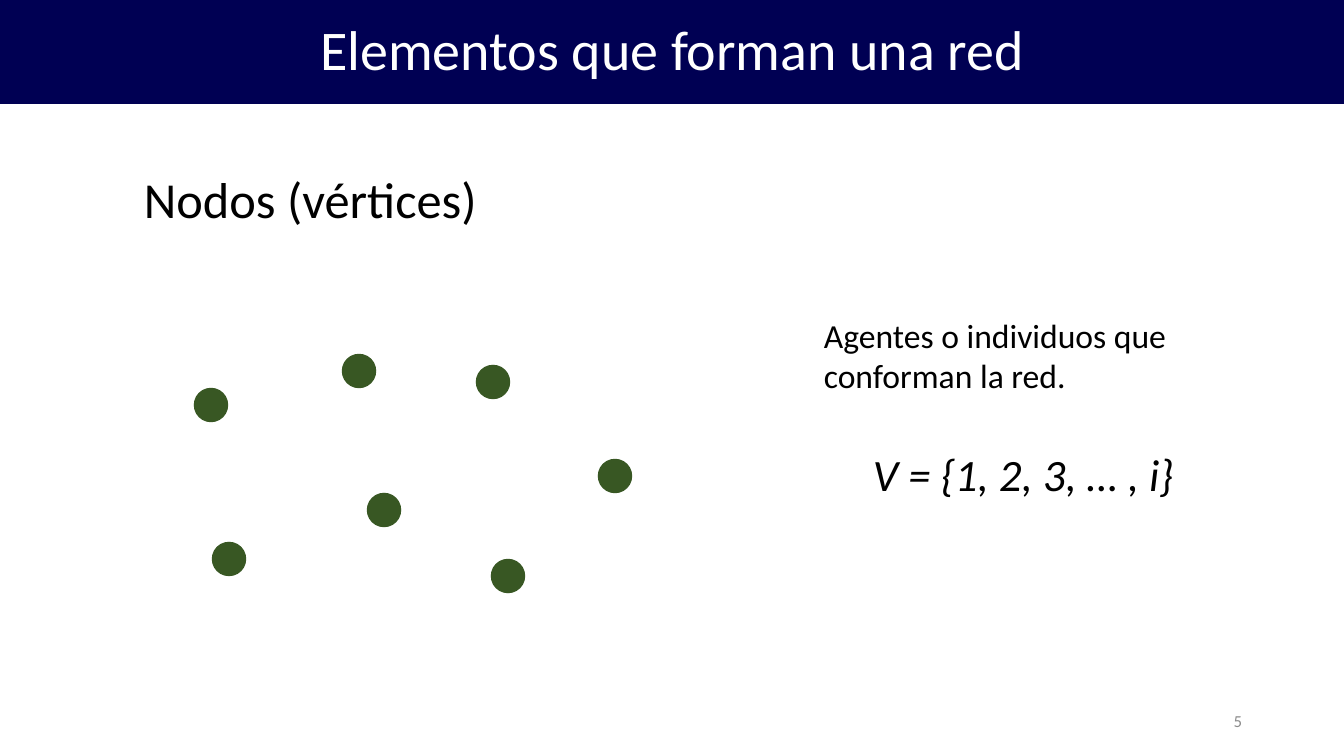
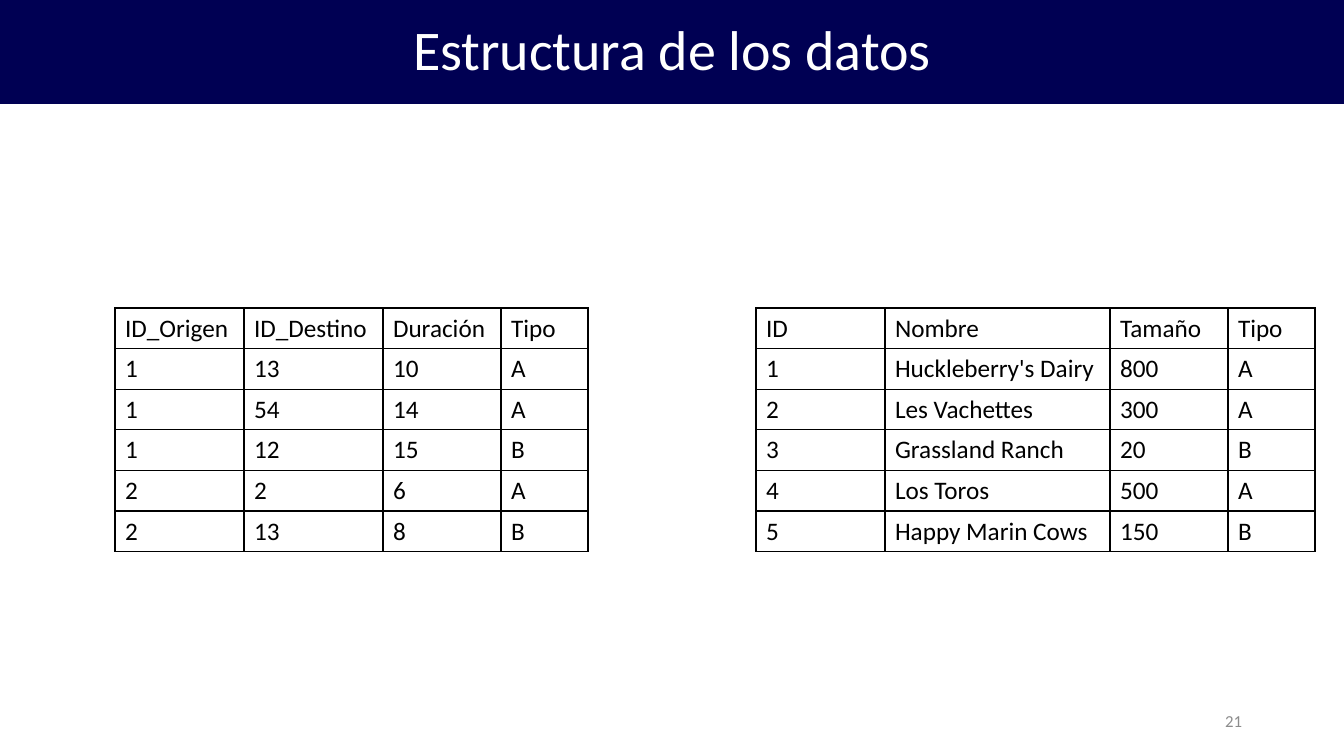
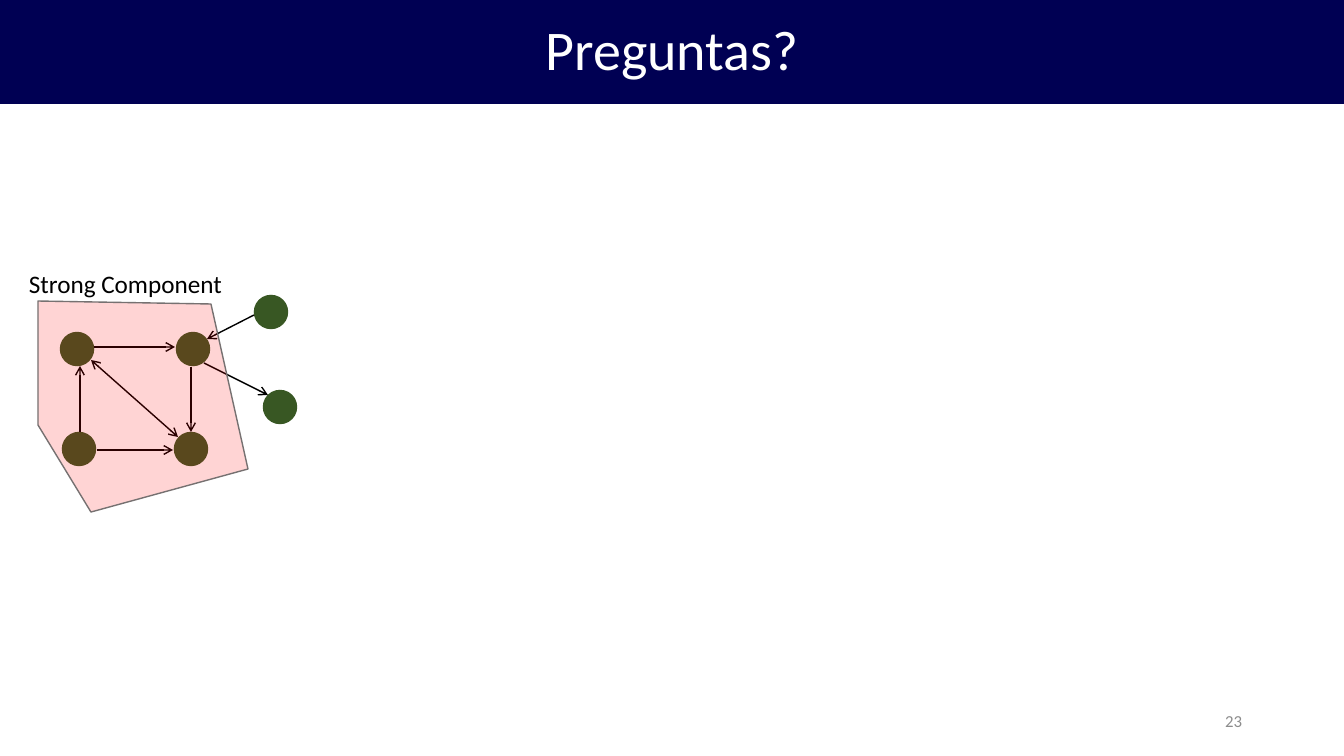
from lxml import etree
from pptx import Presentation
from pptx import util as u
from pptx.dml.color import RGBColor
from pptx.enum import shapes, text
from pptx.oxml.ns import qn

EMU_PER_PX = 914400 / 100.8
WIDTH, HEIGHT = 1344, 756
FONT = "Calibri"
COLORS = {
    "band": "000053",
    "title": "FFFFFF",
    "ink": "000000",
    "number": "8C8C8C",
    "node": "385723",
    "group": "FF0000",
    "group_edge": "767171",
}
ALIGN = text.PP_ALIGN
ANCHOR = text.MSO_ANCHOR


def px(length):
    return u.Emu(round(length * EMU_PER_PX))


def rgb(name):
    return RGBColor.from_string(COLORS[name])


def write(frame, content, size=18, color="ink", italic=False, align=ALIGN.LEFT,
          anchor=ANCHOR.TOP, wrap=True, spacing=None):
    frame.word_wrap = wrap
    frame.vertical_anchor = anchor
    paragraph = frame.paragraphs[0]
    paragraph.alignment = align
    if spacing:
        paragraph.line_spacing = spacing
    run = paragraph.add_run()
    run.text = content
    run.font.name = FONT
    run.font.size = u.Pt(size)
    run.font.italic = italic
    run.font.color.rgb = rgb(color)


class Deck:
    node_size = 34.5
    row_height = 40.6

    def __init__(self):
        self.presentation = Presentation()
        self.presentation.slide_width = px(WIDTH)
        self.presentation.slide_height = px(HEIGHT)
        self.slide = None

    def new_slide(self, title, number):
        layout = self.presentation.slide_layouts[6]
        self.slide = self.presentation.slides.add_slide(layout)
        band = self.shape("RECTANGLE", 0, 0, WIDTH, 104, "band")
        write(band.text_frame, title, size=40, color="title", align=ALIGN.CENTER,
              anchor=ANCHOR.MIDDLE, spacing=0.9)
        self.label(number, 950, 701, 302, 40, size=12, color="number",
                   align=ALIGN.RIGHT, anchor=ANCHOR.MIDDLE)

    def shape(self, kind, left, top, width, height, fill):
        shape = self.slide.shapes.add_shape(
            shapes.MSO_SHAPE[kind], px(left), px(top), px(width), px(height))
        shape.shadow.inherit = False
        shape.fill.solid()
        shape.fill.fore_color.rgb = rgb(fill)
        shape.line.fill.background()
        return shape

    def label(self, content, left, top, width, height, **style):
        box = self.slide.shapes.add_textbox(px(left), px(top), px(width), px(height))
        write(box.text_frame, content, **style)

    def nodes(self, centers):
        size = self.node_size
        for x, y in centers:
            self.shape("OVAL", x - size / 2, y - size / 2, size, size, "node")

    def arrow(self, start, end, both=False):
        line = self.slide.shapes.add_connector(
            shapes.MSO_CONNECTOR.STRAIGHT, *map(px, start + end))
        line.line.color.rgb = rgb("ink")
        line.line.width = u.Pt(1)
        outline = line.line._get_or_add_ln()
        for end_name in ("headEnd", "tailEnd") if both else ("tailEnd",):
            etree.SubElement(outline, qn(f"a:{end_name}"), type="arrow")
        etree.SubElement(line._element.spPr, qn("a:effectLst"))

    def region(self, points, opacity):
        """Draw a translucent polygon; opacity is a percentage."""
        corners = [(px(x), px(y)) for x, y in points]
        builder = self.slide.shapes.build_freeform(*corners[0])
        builder.add_line_segments(corners[1:], close=True)
        region = builder.convert_to_shape()
        region.shadow.inherit = False
        region.fill.solid()
        region.fill.fore_color.rgb = rgb("group")
        color = region._element.spPr.find(qn("a:solidFill"))[0]
        etree.SubElement(color, qn("a:alpha"), val=str(opacity * 1000))
        region.line.color.rgb = rgb("group_edge")
        region.line.width = u.Pt(1)

    def table(self, left, top, widths, rows):
        table = self.slide.shapes.add_table(
            len(rows), len(widths), px(left), px(top),
            px(sum(widths)), px(self.row_height * len(rows))).table
        table.first_row = table.horz_banding = False
        for column, width in zip(table.columns, widths):
            column.width = px(width)
        for row, values in zip(table.rows, rows):
            row.height = px(self.row_height)
            for cell, value in zip(row.cells, values):
                self.border(cell)
                cell.fill.background()
                write(cell.text_frame, value)

    @staticmethod
    def border(cell):
        properties = cell._tc.get_or_add_tcPr()
        for side in "LRTB":
            line = etree.SubElement(properties, qn(f"a:ln{side}"), w=str(u.Pt(1)))
            fill = etree.SubElement(line, qn("a:solidFill"))
            etree.SubElement(fill, qn("a:srgbClr"), val=COLORS["ink"])


def network_elements(deck):
    deck.new_slide("Elementos que forman una red", "5")
    deck.label("Nodos (vértices)", 134, 163, 357, 72, size=36, wrap=False)
    deck.nodes([(384, 510), (493, 382), (508, 576), (615, 476),
                (359, 371), (211, 405), (229, 559)])
    deck.label("Agentes o individuos que conforman la red.", 814, 310, 492, 92, size=24)
    deck.label("V = {1, 2, 3, … , i}", 863, 442, 325, 65, size=32, italic=True, wrap=False)


def data_structure(deck):
    deck.new_slide("Estructura de los datos", "21")
    deck.table(115, 308, [129, 139, 118, 87], [
        ("ID_Origen", "ID_Destino", "Duración", "Tipo"),
        ("1", "13", "10", "A"),
        ("1", "54", "14", "A"),
        ("1", "12", "15", "B"),
        ("2", "2", "6", "A"),
        ("2", "13", "8", "B"),
    ])
    deck.table(756, 308, [129, 225, 118, 87], [
        ("ID", "Nombre", "Tamaño", "Tipo"),
        ("1", "Huckleberry's Dairy", "800", "A"),
        ("2", "Les Vachettes", "300", "A"),
        ("3", "Grassland Ranch", "20", "B"),
        ("4", "Los Toros", "500", "A"),
        ("5", "Happy Marin Cows", "150", "B"),
    ])


def questions(deck):
    deck.new_slide("Preguntas?", "23")
    deck.nodes([(191, 449), (193, 349), (77, 349), (79, 449), (280, 407), (271, 312)])
    for start, end in [
        ((94, 347), (175, 347)),
        ((80, 432), (80, 366)),
        ((191, 367), (191, 432)),
        ((204, 363), (268, 395)),
        ((254, 315), (207, 339)),
        ((97, 450), (173, 450)),
    ]:
        deck.arrow(start, end)
    deck.arrow((178, 437), (91, 360), both=True)
    deck.region([(38, 425), (38, 301), (211, 304), (248, 469), (91, 512)], opacity=17)
    deck.label("Strong Component", 19, 263, 216, 40, wrap=False)


def main():
    deck = Deck()
    network_elements(deck)
    data_structure(deck)
    questions(deck)
    deck.presentation.save("out.pptx")


if __name__ == "__main__":
    main()
